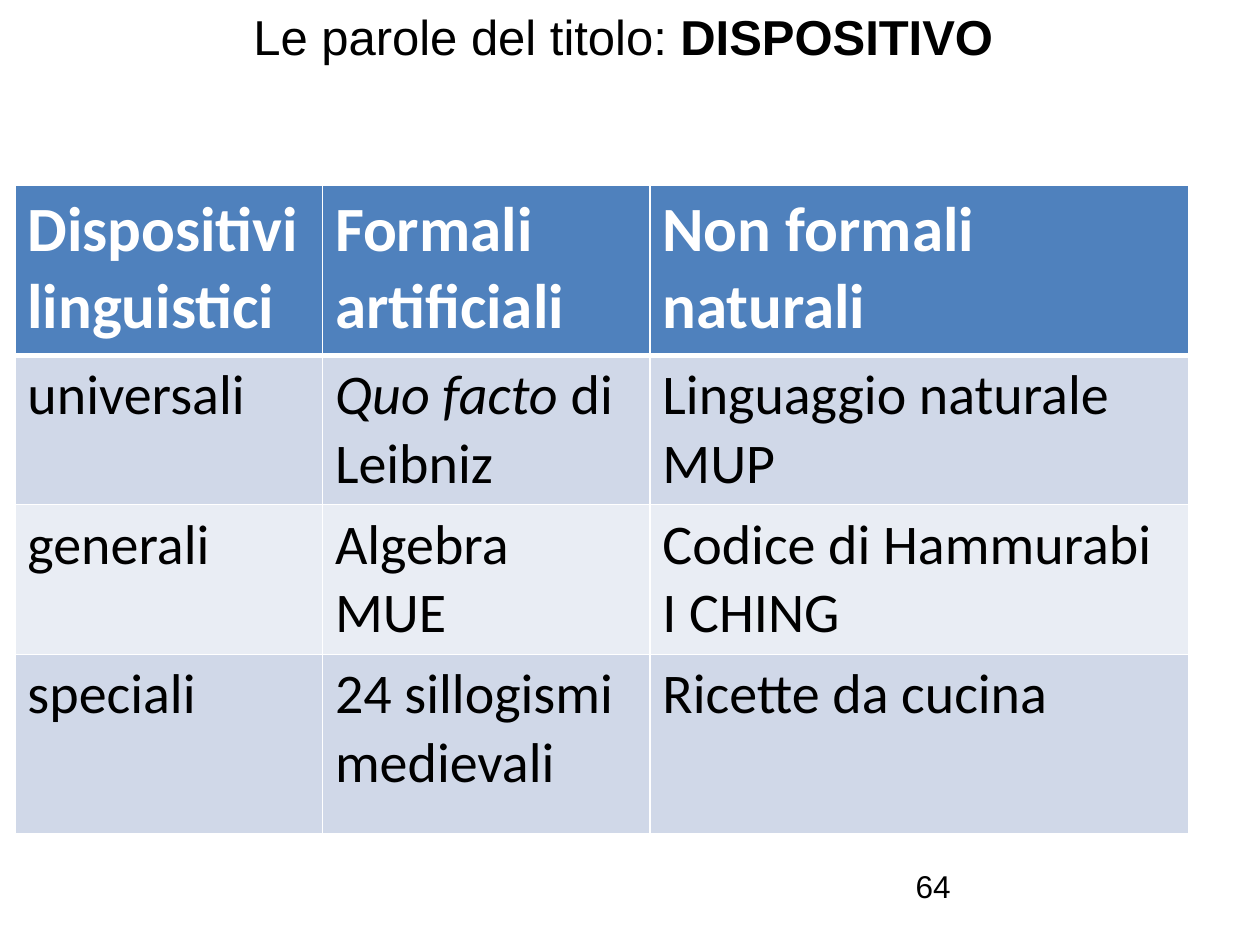
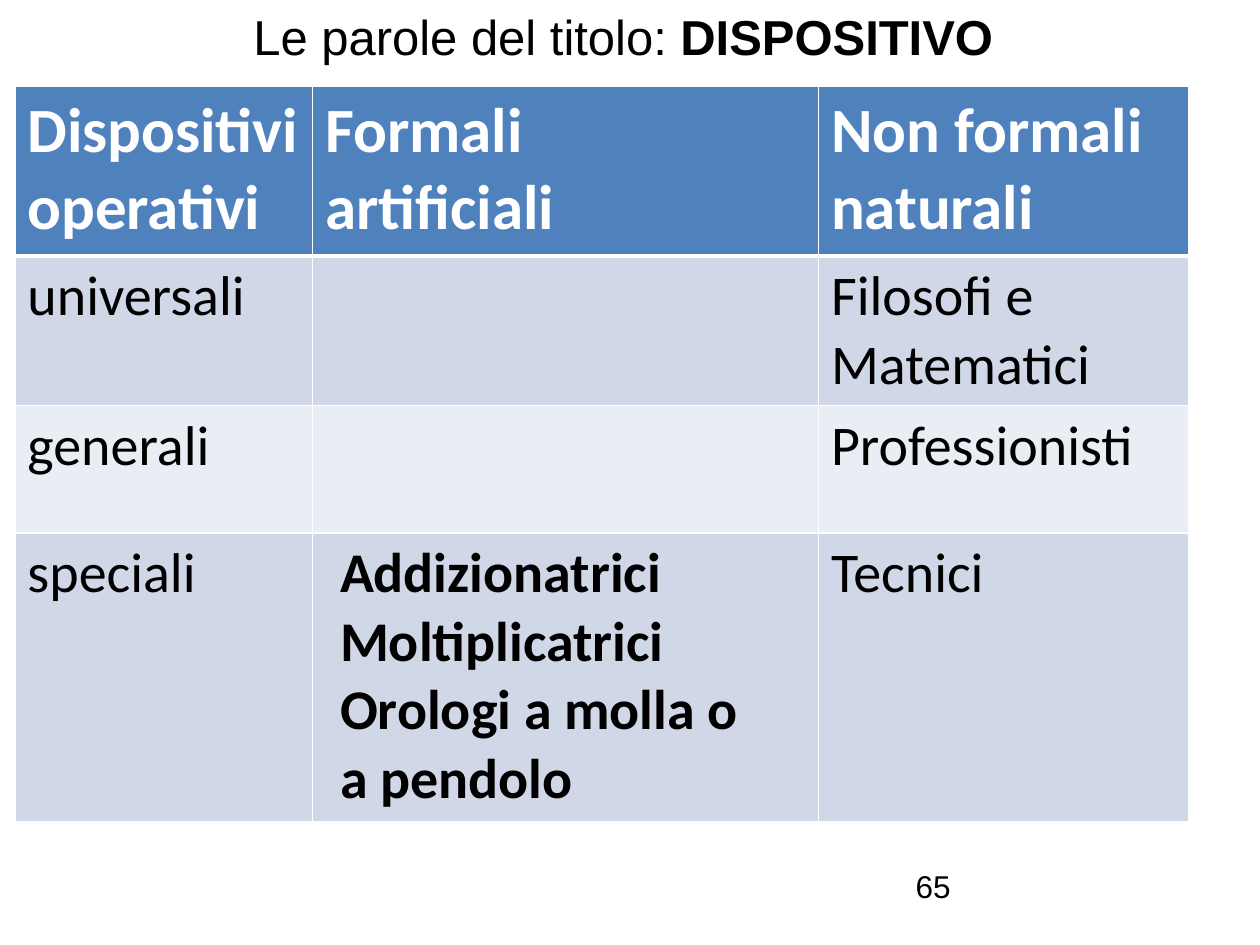
from dataclasses import dataclass

from lxml import etree
from pptx import Presentation
from pptx import util as u
from pptx.dml.color import RGBColor
from pptx.enum import text
from pptx.oxml import ns


@dataclass(frozen=True)
class Theme:
    black: str = "000000"
    white: str = "FFFFFF"
    header: str = "4F81BD"
    bands: tuple = ("D0D8E8", "E9EDF4")
    title_font: str = "Arial"
    table_font: str = "Calibri"
    title_size: int = 28
    header_size: int = 36
    cell_size: int = 32
    number_size: int = 18
    thin: float = 1
    thick: float = 3


T = Theme()

# Shared boxes in cm: left, top, width, height
TITLE_BOX = (1.27, 0, 22.86, 2.13)
NUMBER_BOX = (18.21, 17.35, 5.92, 1.32)
TABLE_LEFT = 0.3


def add_run(p, words, font, size, color, bold=False, italic=False):
    r = p.add_run()
    r.text = words
    r.font.name, r.font.size = font, u.Pt(size)
    r.font.bold, r.font.italic = bold, italic
    r.font.color.rgb = RGBColor.from_string(color)


def add_title(s, box):
    sp = s.shapes.title
    sp.left, sp.top, sp.width, sp.height = map(u.Cm, box)
    tf = sp.text_frame
    tf.vertical_anchor = text.MSO_ANCHOR.TOP
    tf.auto_size = text.MSO_AUTO_SIZE.NONE
    p = tf.paragraphs[0]
    p.alignment = text.PP_ALIGN.CENTER
    add_run(p, "Le parole del titolo: ", T.title_font, T.title_size, T.black)
    add_run(p, "DISPOSITIVO ", T.title_font, T.title_size, T.black, bold=True)


def add_number(s, box, number):
    tf = s.shapes.add_textbox(*map(u.Cm, box)).text_frame
    tf.word_wrap = True
    add_run(tf.paragraphs[0], str(number), T.title_font, T.number_size, T.black)


def set_borders(cell, bottom, top):
    tcPr = cell._tc.get_or_add_tcPr()
    widths = (("L", T.thin), ("R", T.thin), ("T", top), ("B", bottom))
    for i, (side, width) in enumerate(widths):
        ln = etree.Element(ns.qn(f"a:ln{side}"), w=str(u.Pt(width)))
        fill = etree.SubElement(ln, ns.qn("a:solidFill"))
        etree.SubElement(fill, ns.qn("a:srgbClr"), val=T.white)
        tcPr.insert(i, ln)


def fill_cell(cell, paragraphs, is_header, indent):
    """A paragraph is a string, or a list of (words, style) runs."""
    tf = cell.text_frame
    size = T.header_size if is_header else T.cell_size
    color = T.white if is_header else T.black
    for i, content in enumerate(paragraphs):
        p = tf.add_paragraph() if i else tf.paragraphs[0]
        if indent:
            p._p.get_or_add_pPr().set("marL", str(u.Cm(indent)))
        runs = [(content, {})] if isinstance(content, str) else content
        for words, style in runs:
            add_run(p, words, T.table_font, size, color,
                    **{"bold": is_header, **style})


def add_device_table(s, left, top, cols, heights, rows, indents):
    shape = s.shapes.add_table(len(rows), len(cols), u.Cm(left), u.Cm(top),
                               u.Cm(sum(cols)), u.Cm(sum(heights)))
    table = shape.table
    for column, width in zip(table.columns, cols):
        column.width = u.Cm(width)
    for i, (row, height, contents) in enumerate(zip(table.rows, heights, rows)):
        row.height = u.Cm(height)
        for j, (cell, paragraphs) in enumerate(zip(row.cells, contents)):
            fill_cell(cell, paragraphs, i == 0, indents.get((i, j), 0))
            cell.fill.solid()
            color = T.bands[(i - 1) % 2] if i else T.header
            cell.fill.fore_color.rgb = RGBColor.from_string(color)
            set_borders(cell, bottom=T.thin if i else T.thick,
                        top=T.thick if i == 1 else T.thin)
            if not paragraphs:
                cell.text_frame.paragraphs[0].font.size = u.Pt(T.cell_size)


def add_device_slide(prs, number, kind, top, cols, heights, body, indents):
    s = prs.slides.add_slide(prs.slide_layouts[5])
    add_title(s, TITLE_BOX)
    header = [["Dispositivi ", kind], ["Formali ", "artificiali"],
              ["Non formali ", "naturali"]]
    levels = (["universali"], ["generali"], ["speciali"])
    rows = [header] + [[level, *cells] for level, cells in zip(levels, body)]
    add_device_table(s, TABLE_LEFT, top, cols, heights, rows, indents)
    add_number(s, NUMBER_BOX, number)


prs = Presentation()
prs.slide_width, prs.slide_height = u.Cm(25.4), u.Cm(19.05)

# Linguistic devices
add_device_slide(
    prs, 64, "linguistici", top=3.73,
    cols=(6.2, 6.6, 10.87), heights=(3.43, 3, 3, 3.61),
    body=[
        [[[("Quo facto", {"italic": True}), (" di Leibniz", {})]],
         ["Linguaggio naturale", "MUP"]],
        [["Algebra ", "MUE"], ["Codice di Hammurabi ", "I CHING"]],
        [["24 sillogismi medievali"], ["Ricette da cucina"]],
    ],
    indents={})

# Operative devices
bold = {"bold": True}
machines = ("Addizionatrici Moltiplicatrici", "Orologi a molla o ", "a pendolo")
add_device_slide(
    prs, 65, "operativi", top=1.73,
    cols=(6, 10.2, 7.47), heights=(3.43, 3, 2.57, 5.82),
    body=[
        [[], ["Filosofi e ", "Matematici"]],
        [[], ["Professionisti "]],
        [[[(words, bold)] for words in machines], ["Tecnici"]],
    ],
    indents={(3, 1): 0.3})

prs.save("out.pptx")
